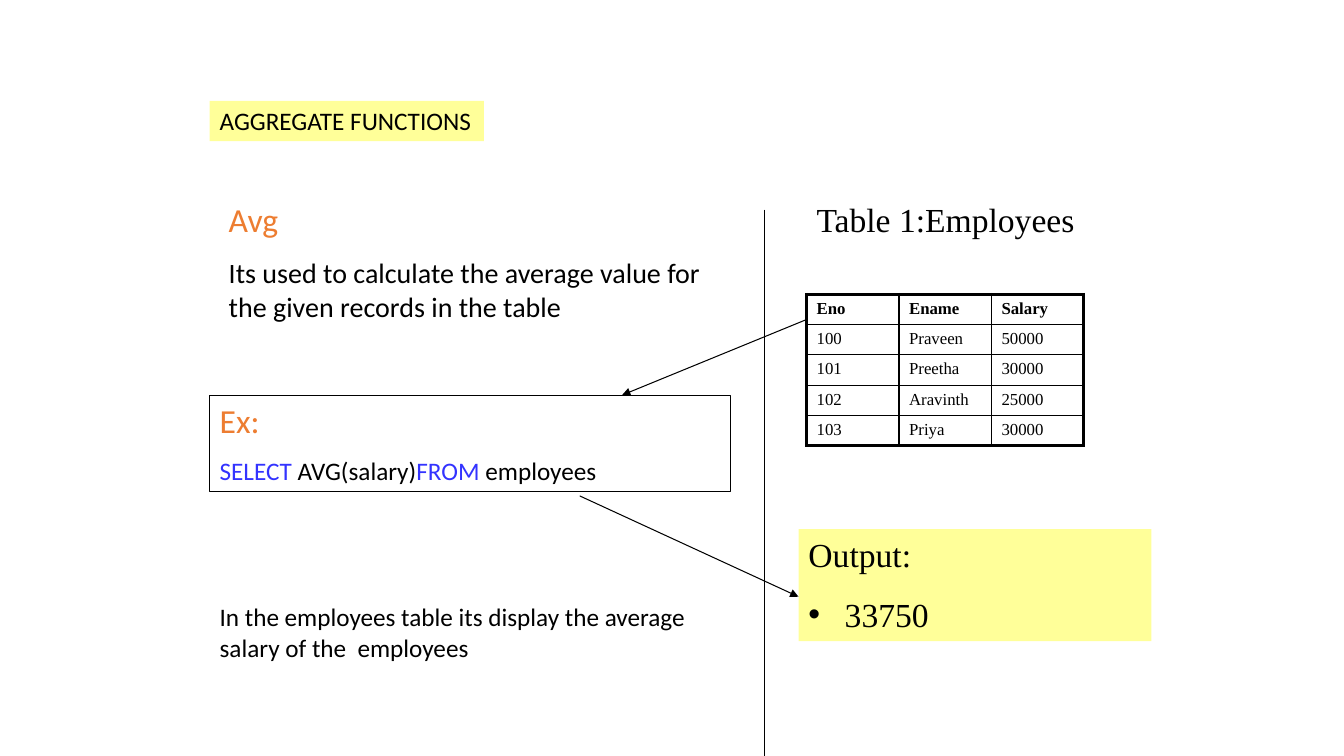
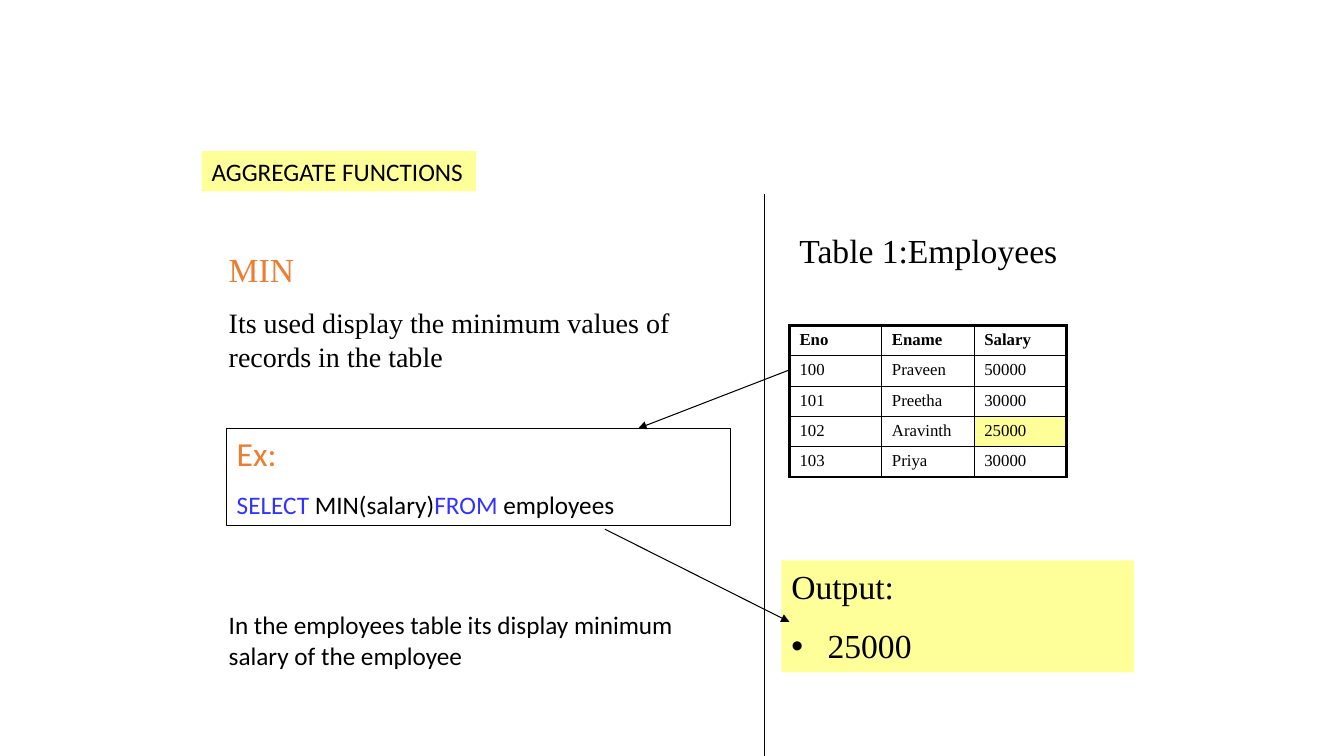
from lxml import etree
from pptx import Presentation
from pptx import util as u
from pptx.dml.color import RGBColor
from pptx.enum import shapes, text
from pptx.oxml import ns

In = u.Inches
COLORS = {
    "ink": "000000",
    "paper": "FFFFFF",
    "accent": "ED7D31",
    "keyword": "3333FF",
    "highlight": "FFFF99",
}
SANS, SERIF = "Calibri", "Times New Roman"
HEAD, BODY, SMALL, CELL = 24, 20, 18, 12
DIVIDER_X = 7.58
THIN, GRID, FRAME = 0.75, 1, 2.25
COL_W, ROW_H = 2.75 / 3, 0.3
EMPLOYEES = [
    ("Eno", "Ename", "Salary"),
    ("100", "Praveen", "50000"),
    ("101", "Preetha", "30000"),
    ("102", "Aravinth", "25000"),
    ("103", "Priya", "30000"),
]
SLIDES = [
    {
        "title_at": (2.08, 1),
        "divider_top": 2.08,
        "name": "Avg",
        "name_font": SANS,
        "purpose": "Its used to calculate the average value for the given records in the table",
        "intro_at": (2.17, 1.92, 5.25, 1.35),
        "table_at": (8, 2.92),
        "marked": None,
        "call": " AVG(salary)",
        "example_at": (2.08, 3.92, 5.17, 0.96),
        "result": "33750",
        "summary": "In the employees table its display the average salary of the  employees",
        "summary_at": (2.08, 5.92, 5.42, 0.7),
        "arrows": [((5.75, 4.92), (7.92, 5.92)), ((8, 3.17), (6.17, 3.92))],
    },
    {
        "title_at": (2, 1.5),
        "divider_top": 1.92,
        "name": "MIN",
        "name_font": SERIF,
        "purpose": "Its used display the minimum values of records in the table",
        "intro_at": (2.17, 2.42, 5.08, 1.33),
        "table_at": (7.83, 3.23),
        "marked": (3, 2),
        "call": " MIN(salary)",
        "example_at": (2.25, 4.25, 5, 0.96),
        "result": "25000",
        "summary": "In the employees table its display minimum salary of the employee",
        "summary_at": (2.17, 6, 5.08, 0.7),
        "arrows": [((7.83, 3.67), (6.33, 4.25)), ((6, 5.25), (7.83, 6.17))],
    },
]


def rgb(name):
    return RGBColor.from_string(COLORS[name])


def sub(parent, tag, **attrs):
    return etree.SubElement(parent, ns.qn(tag), attrs)


def write(p, runs, size, font, bold=False):
    """Add (text, colour) runs that share one format."""
    fmt = {"size": u.Pt(size), "name": font, "bold": bold}
    for words, color in runs:
        r = p.add_run()
        r.text = words
        for key, value in fmt.items():
            setattr(r.font, key, value)
        r.font.color.rgb = rgb(color)


def add_bullet(p, indent=0.36):
    pPr = p._p.get_or_add_pPr()
    pPr.set("marL", str(In(indent)))
    pPr.set("indent", str(-In(indent)))
    sub(pPr, "a:buFont", typeface="Arial")
    sub(pPr, "a:buChar", char="•")


def fill_frame(tf, paragraphs, wrap=True):
    """Write (runs, size, font) paragraphs; the gap follows the text size."""
    fmt = {"word_wrap": wrap, "vertical_anchor": text.MSO_ANCHOR.TOP}
    for key, value in fmt.items():
        setattr(tf, key, value)
    for i, (runs, size, font) in enumerate(paragraphs):
        p = tf.add_paragraph() if i else tf.paragraphs[0]
        p.alignment = text.PP_ALIGN.LEFT
        if i:
            p.space_before = u.Pt(round(size * 0.6))
        write(p, runs, size, font)


def add_text(s, at, paragraphs):
    sp = s.shapes.add_textbox(*map(In, at))
    fill_frame(sp.text_frame, paragraphs)


def add_box(s, at, paragraphs, fill=None, line=None, wrap=True):
    sp = s.shapes.add_shape(shapes.MSO_SHAPE.RECTANGLE, *map(In, at))
    sp.shadow.inherit = False
    if fill:
        sp.fill.solid()
        sp.fill.fore_color.rgb = rgb(fill)
    else:
        sp.fill.background()
    if line:
        sp.line.color.rgb = rgb(line)
        sp.line.width = u.Pt(THIN)
    else:
        sp.line.fill.background()
    fill_frame(sp.text_frame, paragraphs, wrap)
    return sp


def add_line(s, start, end, arrow=False):
    sp = s.shapes.add_connector(
        shapes.MSO_CONNECTOR.STRAIGHT, *map(In, (*start, *end)))
    sp.line.color.rgb = rgb("ink")
    sp.line.width = u.Pt(THIN)
    if arrow:
        sub(sp.line._get_or_add_ln(), "a:tailEnd", type="triangle")
    sub(sp._element.spPr, "a:effectLst")


def set_borders(cell, widths):
    tcPr = cell._tc.get_or_add_tcPr()
    for side, width in zip("LRTB", widths):
        ln = sub(tcPr, f"a:ln{side}", w=str(u.Pt(width)))
        sub(sub(ln, "a:solidFill"), "a:srgbClr", val=COLORS["ink"])


def add_employees(s, at, marked):
    rows, cols = len(EMPLOYEES), len(EMPLOYEES[0])
    size = (cols * COL_W, rows * ROW_H)
    table = s.shapes.add_table(rows, cols, *map(In, (*at, *size))).table
    table.first_row = table.horz_banding = False
    for i, record in enumerate(EMPLOYEES):
        for j, value in enumerate(record):
            cell = table.cell(i, j)
            edges = (j == 0, j == cols - 1, i == 0, i == rows - 1)
            set_borders(cell, [FRAME if edge else GRID for edge in edges])
            cell.fill.solid()
            cell.fill.fore_color.rgb = rgb(
                "highlight" if (i, j) == marked else "paper")
            write(cell.text_frame.paragraphs[0], [(value, "ink")],
                  CELL, SERIF, bold=i == 0)


def add_data_column(s, c):
    """Caption, table and output, all placed from the table's corner."""
    x, y = c["table_at"]
    add_text(s, (x, y - 1, 3.25, 0.5),
             [([("Table 1:Employees", "ink")], HEAD, SERIF)])
    add_employees(s, (x, y), c["marked"])
    sp = add_box(s, (x - 0.08, y + 2.33, 3.5, 1.11), [
        ([("Output:", "ink")], HEAD, SERIF),
        ([(c["result"], "ink")], HEAD, SERIF),
    ], fill="highlight")
    add_bullet(sp.text_frame.paragraphs[1])


def add_function_column(s, c):
    add_text(s, c["intro_at"], [
        ([(c["name"], "accent")], HEAD, c["name_font"]),
        ([(c["purpose"], "ink")], BODY, c["name_font"]),
    ])
    query = [("SELECT", "keyword"), (c["call"], "ink"),
             ("FROM", "keyword"), (" employees", "ink")]
    add_box(s, c["example_at"], [
        ([("Ex:", "accent")], HEAD, SANS),
        (query, SMALL, SANS),
    ], line="ink")
    add_text(s, c["summary_at"], [([(c["summary"], "ink")], SMALL, SANS)])


def add_function_slide(prs, c):
    s = prs.slides.add_slide(prs.slide_layouts[6])
    add_line(s, (DIVIDER_X, c["divider_top"]), (DIVIDER_X, 7.5))
    add_box(s, (*c["title_at"], 2.72, 0.4),
            [([("AGGREGATE FUNCTIONS", "ink")], SMALL, SANS)],
            fill="highlight", wrap=False)
    add_function_column(s, c)
    add_data_column(s, c)
    for start, end in c["arrows"]:
        add_line(s, start, end, arrow=True)


def main():
    prs = Presentation()
    prs.slide_width, prs.slide_height = In(13.33), In(7.5)
    for content in SLIDES:
        add_function_slide(prs, content)
    prs.save("out.pptx")


if __name__ == "__main__":
    main()
